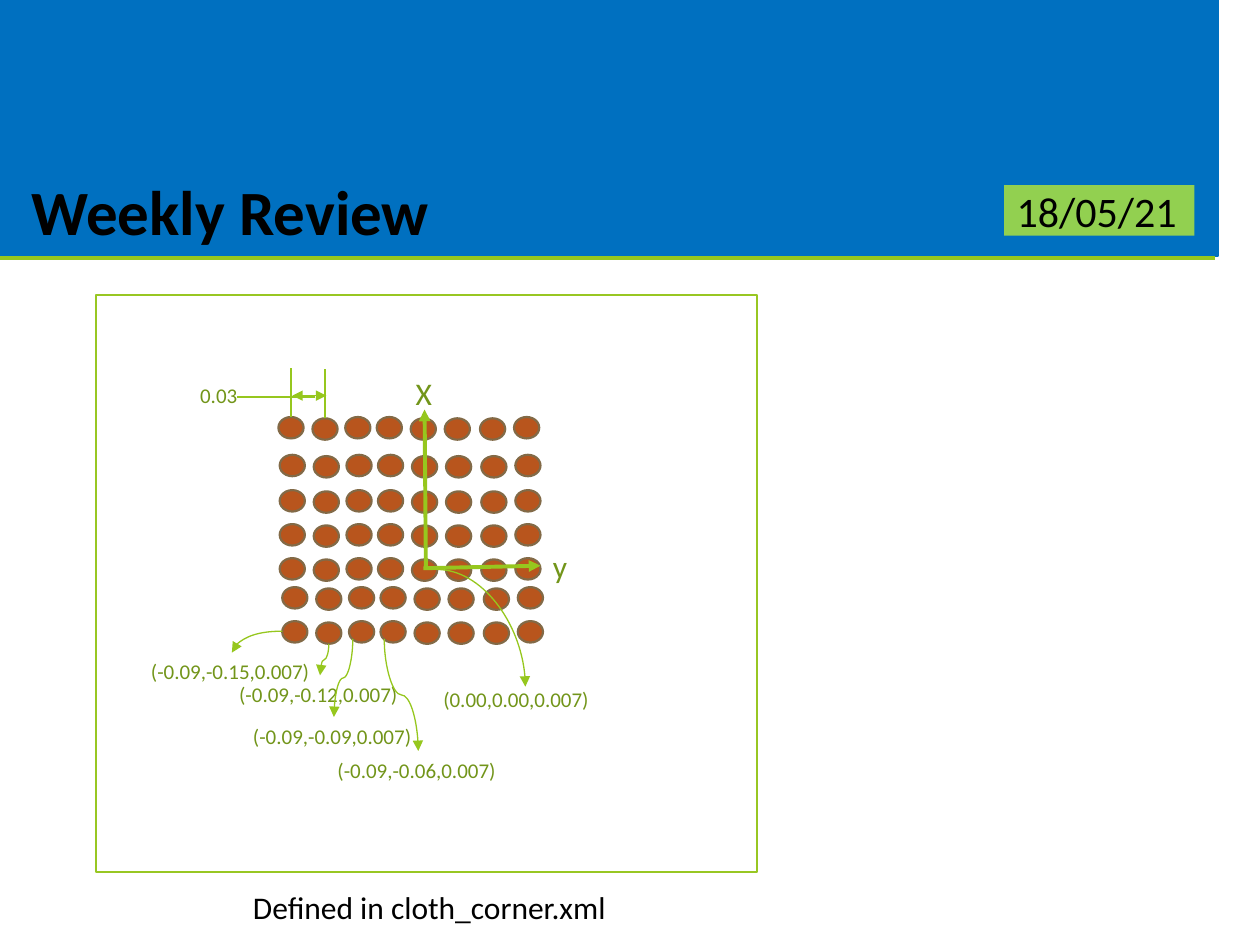
from pptx import Presentation
from pptx.dml.color import RGBColor as Rgb
from pptx.enum.shapes import MSO_CONNECTOR as Link, MSO_SHAPE as Form
from pptx.enum.text import MSO_ANCHOR as Anchor, MSO_AUTO_SIZE as Fit, PP_ALIGN as Align
from pptx.oxml.ns import qn
from pptx.util import Inches, Pt

BLACK = Rgb(0x00, 0x00, 0x00)
WHITE = Rgb(0xFF, 0xFF, 0xFF)
BLUE = Rgb(0x00, 0x70, 0xC0)
LIME = Rgb(0x92, 0xD0, 0x50)
FRAME = Rgb(0x98, 0xC7, 0x23)
GREEN = Rgb(0x96, 0xC7, 0x1E)
OLIVE = Rgb(0x72, 0x95, 0x1A)
RUST = Rgb(0xB8, 0x55, 0x1D)
BROWN = Rgb(0x82, 0x6A, 0x47)
COLS, ROWS = 100, 75


def put(frame, text, size=12, color=OLIVE, bold=False, wrap=False,
        fit=Fit.SHAPE_TO_FIT_TEXT, anchor=Anchor.TOP):
    frame.word_wrap = wrap
    frame.auto_size = fit
    frame.vertical_anchor = anchor
    para = frame.paragraphs[0]
    para.alignment = Align.LEFT
    run = para.add_run()
    run.text = text
    font = run.font
    font.name, font.size, font.bold = "Calibri", Pt(size), bold
    font.color.rgb = color


class Board:
    def __init__(self, deck):
        self.slide = deck.slides.add_slide(deck.slide_layouts[5])
        self.shapes = self.slide.shapes
        self.dx = deck.slide_width / COLS
        self.dy = deck.slide_height / ROWS

    def grid(self, x, y, w, h):
        return [round(n * u) for n, u in zip((x, y, w, h), (self.dx, self.dy) * 2)]

    def shape(self, form, box, fill, line=None):
        item = self.shapes.add_shape(form, *self.grid(*box))
        item.shadow.inherit = False
        item.fill.solid()
        item.fill.fore_color.rgb = fill
        if line is None:
            item.line.fill.background()
        else:
            item.line.color.rgb = line
            item.line.width = Pt(1.25)
        return item

    def title(self, text, box, fill):
        item = self.shapes.title
        self.shapes._spTree.append(item._element)
        item.left, item.top, item.width, item.height = self.grid(*box)
        item.fill.solid()
        item.fill.fore_color.rgb = fill
        put(item.text_frame, text, size=36, color=BLACK, bold=True, wrap=True,
            fit=Fit.NONE, anchor=Anchor.MIDDLE)

    def badge(self, text, box, fill):
        item = self.shape(Form.RECTANGLE, box, fill)
        put(item.text_frame, text, size=24, color=BLACK, wrap=True,
            fit=Fit.NONE, anchor=Anchor.MIDDLE)

    def label(self, text, box, **style):
        item = self.shapes.add_textbox(*self.grid(*box))
        put(item.text_frame, text, **style)

    def line(self, start, end, width=0.75, tips=(), kind=Link.STRAIGHT):
        item = self.shapes.add_connector(kind, *self.grid(*start, *end))
        item.line.color.rgb = GREEN
        item.line.width = Pt(width)
        props = item._element.spPr
        stroke = props.find(qn("a:ln"))
        for tip in tips:
            stroke.makeelement(qn("a:" + tip), {"type": "triangle"})
            stroke.append(stroke.makeelement(qn("a:" + tip), {"type": "triangle"}))
        props.append(props.makeelement(qn("a:effectLst"), {}))
        return item

    def curve(self, start, end, bends=3, turn=0, flip=None):
        (x1, y1), (x2, y2) = start, end
        w, h = abs(x2 - x1), abs(y2 - y1)
        if turn % 180:
            w, h = h, w
        x, y = (x1 + x2 - w) / 2, (y1 + y2 - h) / 2
        item = self.line((x, y), (x + w, y + h), tips=["tailEnd"], kind=Link.CURVE)
        item.rotation = turn
        props = item._element.spPr
        props.find(qn("a:prstGeom")).set("prst", f"curvedConnector{bends}")
        if flip:
            props.find(qn("a:xfrm")).set(flip, "1")

    def dots(self, lefts, rows, low):
        for top, shift in rows:
            for i, left in enumerate(lefts):
                drop = 0.1 if i in low else 0
                self.shape(Form.OVAL, (left + shift, top + drop, 2, 1.7), RUST, BROWN)


def main():
    deck = Presentation()
    deck.slide_width, deck.slide_height = Inches(10), Inches(7.5)
    board = Board(deck)

    board.shape(Form.RECTANGLE, (7.6, 23.4, 52.5, 45.8), WHITE, FRAME)
    board.dots(
        [22.1, 24.8, 27.4, 29.9, 32.6, 35.3, 38.1, 40.8],
        [(33.1, 0), (36.1, 0.1), (38.9, 0.1), (41.6, 0.1),
         (44.3, 0.1), (46.6, 0.3), (49.3, 0.3)],
        {1, 4, 5, 6})

    board.shape(Form.RECTANGLE, (0, 0, 96.7, 20.3), BLUE, BLUE)
    board.line((0, 20.5), (96.4, 20.5), width=2.25)
    board.title("Weekly Review", (1.5, 14.7, 36.5, 4), BLUE)
    board.badge("18/05/21", (79.7, 14.7, 15.1, 4), LIME)

    board.line((33.8, 45.1), (33.7, 32.5), width=2.25, tips=["tailEnd"])
    board.line((33.6, 45.1), (42.9, 44.9), width=2.25, tips=["tailEnd"])
    board.label("X", (32, 29.2, 3.3, 4), size=18)
    board.label("y", (42.9, 42.9, 3.2, 4), size=18)

    for text, x, y, w in [
        ("(-0.09,-0.15,0.007)", 11, 51.8, 14.7),
        ("(-0.09,-0.12,0.007)", 18, 53.6, 14.7),
        ("(-0.09,-0.09,0.007)", 19.1, 56.9, 14.7),
        ("(-0.09,-0.06,0.007)", 25.8, 59.6, 14.7),
        ("(0.00,0.00,0.007)", 34.2, 54, 13.7),
    ]:
        board.label(text, (x, y, w, 3))
    board.curve((22.4, 50.1), (18.4, 51.8), bends=2, turn=180, flip="flipV")
    board.curve((26.1, 51.1), (25.4, 53.6), turn=90)
    board.curve((28, 50.7), (26.5, 56.9), turn=90)
    board.curve((30.5, 50.7), (33.2, 59.6), turn=270, flip="flipH")
    board.curve((34.7, 45.2), (41.7, 54.5), bends=2)

    board.line((23.1, 33.1), (23.1, 29.2))
    board.line((25.8, 33.2), (25.8, 29.3))
    board.line((23.2, 31.4), (25.9, 31.4), tips=["headEnd", "tailEnd"])
    board.line((25, 31.5), (18.8, 31.5))
    board.label("0.03", (14.9, 29.9, 8.6, 3), wrap=True)

    board.label("Defined in cloth_corner.xml", (19.1, 70, 30.4, 4), size=18, color=BLACK)
    deck.save("out.pptx")


if __name__ == "__main__":
    main()
